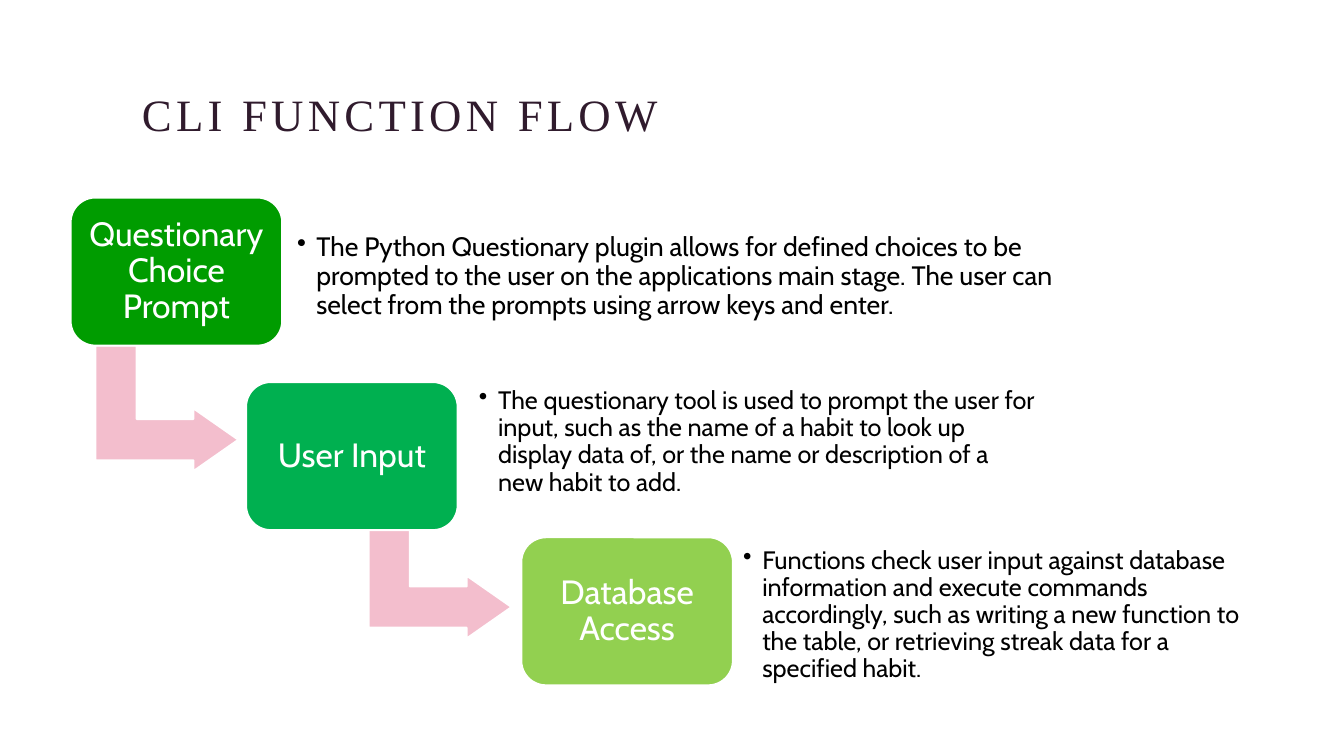
"""Build the CLI function flow slide: three descending steps joined by bent arrows."""
import pptx
import pptx.dml.color
import pptx.enum.shapes
import pptx.enum.text
import pptx.oxml
import pptx.oxml.ns
import pptx.util
from lxml import etree

PX = 9144
THEME = {
    "title": ("Times New Roman", 32, "301B2D"),
    "step": ("Cabin", 24, "FFFFFF"),
    "detail": ("Cabin", 19, "000000"),
    "small_detail": ("Cabin", 18, "000000"),
    "arrow": "F3BECD",
    "outline": "FFFFFF",
    "outline_width": 1.5,
}
SHAPES = pptx.enum.shapes.MSO_SHAPE
ANCHOR = pptx.enum.text.MSO_ANCHOR
ALIGN = pptx.enum.text.PP_ALIGN


def add_block(preset, box, fill, adjustments):
    block = slide.shapes.add_shape(preset, *(n * PX for n in box))
    block.shadow.inherit = False
    for index, value in enumerate(adjustments):
        block.adjustments[index] = value
    block.fill.solid()
    block.fill.fore_color.rgb = pptx.dml.color.RGBColor.from_string(fill)
    block.line.color.rgb = pptx.dml.color.RGBColor.from_string(THEME["outline"])
    block.line.width = pptx.util.Pt(THEME["outline_width"])
    return block


def write(holder, words, style, anchor, align, insets):
    frame = holder.text_frame
    frame.word_wrap = True
    frame.vertical_anchor = anchor
    frame.margin_left = frame.margin_right = insets[0] * PX
    frame.margin_top = frame.margin_bottom = insets[1] * PX
    paragraph = frame.paragraphs[0]
    paragraph.alignment = align
    paragraph.line_spacing = 0.9
    run = paragraph.add_run()
    run.text = words
    family, size, color = THEME[style]
    run.font.name = family
    run.font.size = pptx.util.Pt(size)
    run.font.color.rgb = pptx.dml.color.RGBColor.from_string(color)
    return paragraph


deck = pptx.Presentation()
deck.slide_width = 1333 * PX
deck.slide_height = 750 * PX
slide = deck.slides.add_slide(deck.slide_layouts[6])

heading = slide.shapes.add_textbox(131 * PX, 76 * PX, 1038 * PX, 69 * PX)
heading_line = write(heading, "CLI FUNCTION FLOW", "title", ANCHOR.BOTTOM, ALIGN.LEFT, (10, 5))
heading_line.runs[0].font._element.set("spc", "300")

STEP_SIZE = (210, 147)
ARROW_SIZE = (125, 142)
steps = [
    ("Questionary Choice Prompt", "009C00", (70, 196), (103, 334),
     "The Python Questionary plugin allows for defined choices to be prompted to the user "
     "on the applications main stage. The user can select from the prompts using arrow keys "
     "and enter.", "detail", (285, 215, 807, 119), 10),
    ("User Input", "00B050", (244, 379), (374, 500),
     "The questionary tool is used to prompt the user for input, such as the name of a habit "
     "to look up display data of, or the name or description of a new habit to add.",
     "small_detail", (468, 379, 567, 119), 7),
    ("Database Access", "92D050", (517, 533), None,
     "Functions check user input against database information and execute commands "
     "accordingly, such as writing a new function to the table, or retrieving streak data "
     "for a specified habit.", "small_detail", (730, 537, 522, 147), 7),
]

for label, fill, corner, arrow_corner, detail, detail_style, detail_box, inset in steps:
    if arrow_corner:
        arrow = add_block(SHAPES.BENT_UP_ARROW, arrow_corner + ARROW_SIZE,
                          THEME["arrow"], (0.328, 0.25, 0.358))
        arrow.rotation = 90
    step = add_block(SHAPES.ROUNDED_RECTANGLE, corner + STEP_SIZE, fill, (0.167,))
    write(step, label, "step", ANCHOR.MIDDLE, ALIGN.CENTER, (9, 9))

    explanation = slide.shapes.add_textbox(*(n * PX for n in detail_box))
    bullet_line = write(explanation, detail, detail_style, ANCHOR.MIDDLE, ALIGN.LEFT, (inset, inset))
    properties = bullet_line._p.get_or_add_pPr()
    properties.set("marL", str(19 * PX))
    properties.set("indent", str(-19 * PX))
    etree.SubElement(properties, pptx.oxml.ns.qn("a:buChar")).set("char", "•")

deck.save("out.pptx")
